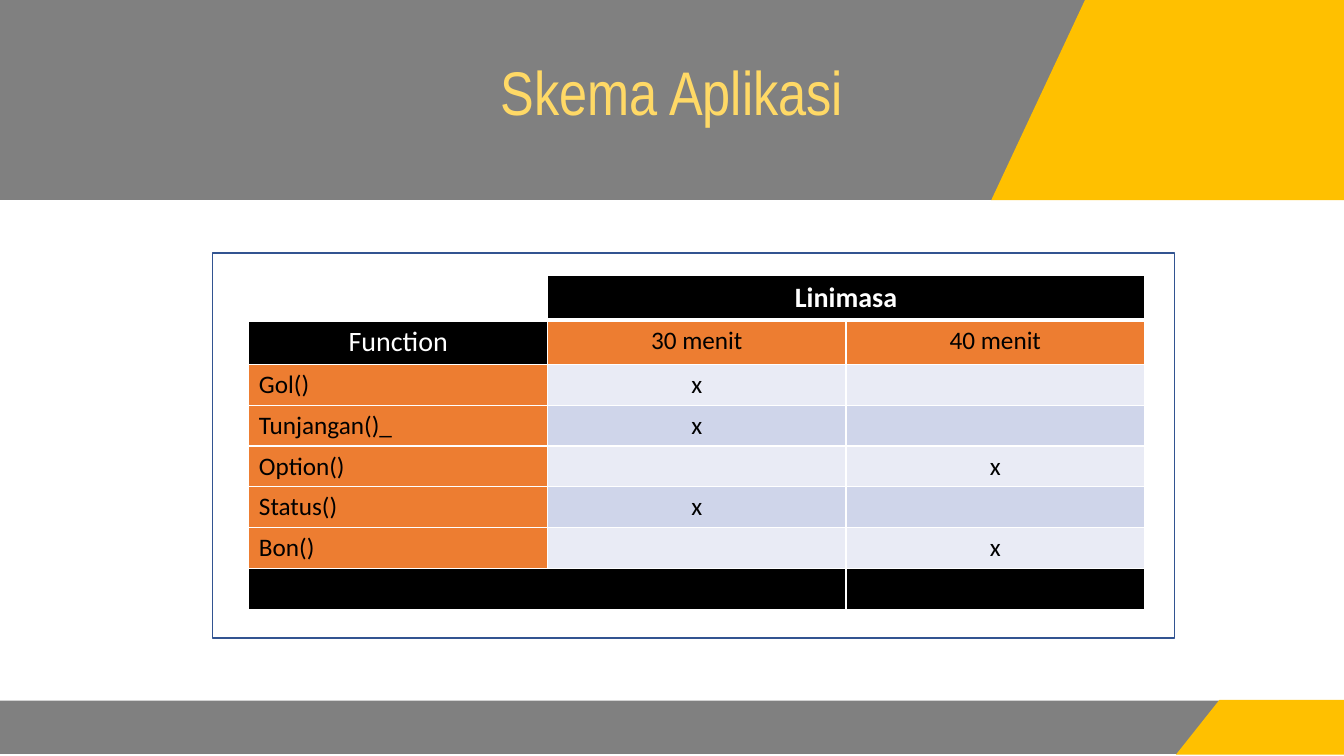
from dataclasses import dataclass

from lxml.etree import SubElement
from pptx import Presentation
from pptx.dml.color import RGBColor as RGB
from pptx.enum.shapes import MSO_SHAPE as SHAPE
from pptx.enum.text import MSO_ANCHOR as ANCHOR, PP_ALIGN as ALIGN
from pptx.oxml.ns import qn
from pptx.util import Pt


@dataclass(frozen=True)
class Theme:
    gray: str = "808080"
    gold: str = "FFC000"
    title: str = "FFD966"
    frame: str = "325491"
    white: str = "FFFFFF"
    black: str = "000000"
    orange: str = "ED7D31"
    bands: tuple[str, str] = ("E9EBF5", "CFD5EA")
    title_font: str = "Arial Narrow"
    table_font: str = "Calibri"
    title_size: int = 44
    head_size: int = 20
    body_size: int = 18


@dataclass(frozen=True)
class Box:
    left: float
    top: float
    width: float
    height: float
    fill: str
    line: str | None = None


@dataclass(frozen=True)
class Wedge:
    points: tuple[tuple[float, float], ...]
    fill: str


@dataclass(frozen=True)
class CellLook:
    fill: str
    color: str = "000000"
    size: int = 18
    bold: bool = False
    align: ALIGN = ALIGN.CENTER
    bottom_line: float = 1


T = Theme()
BOXES = (
    Box(0, 500.4, 961.2, 38.2, T.gray),
    Box(0, -0.7, 960, 143.5, T.gray),
    Box(151.9, 180.7, 686.9, 275, T.white, T.frame),
)
WEDGES = (
    Wedge(((775.4, 0), (961.2, 0), (961.2, 142.6), (708.5, 142.6)), T.gold),
    Wedge(((871.2, 500.4), (961.2, 500.4), (961.2, 539), (839.5, 539)), T.gold),
)
ROWS = (
    ("", "Linimasa", ""),
    ("Function", "30 menit", "40 menit"),
    ("Gol()", "x", ""),
    ("Tunjangan()_", "x", ""),
    ("Option()", "", "x"),
    ("Status()", "x", ""),
    ("Bon()", "", "x"),
    ("", "", ""),
)
ROW_HEIGHTS = (32, 31.6) + (29.2,) * 6
COL_WIDTH = 213.3
LAST = len(ROWS) - 1


def style_shape(sp, fill: str, line: str | None = None) -> None:
    sp.shadow.inherit = False
    sp.fill.solid()
    sp.fill.fore_color.rgb = RGB.from_string(fill)
    if line:
        sp.line.color.rgb = RGB.from_string(line)
        sp.line.width = Pt(1)
    else:
        sp.line.fill.background()


def draw_box(shapes, box: Box) -> None:
    sp = shapes.add_shape(SHAPE.RECTANGLE, Pt(box.left), Pt(box.top),
                          Pt(box.width), Pt(box.height))
    style_shape(sp, box.fill, box.line)


def draw_wedge(shapes, wedge: Wedge) -> None:
    start, *rest = wedge.points
    builder = shapes.build_freeform(*start, scale=Pt(1))
    builder.add_line_segments(rest, close=True)
    style_shape(builder.convert_to_shape(), wedge.fill)


def style_text(p, font: str, size: int, color: str, align: ALIGN, bold: bool = False) -> None:
    p.alignment = align
    p.font.name = font
    p.font.size = Pt(size)
    p.font.bold = bold
    p.font.color.rgb = RGB.from_string(color)


def draw_title(shapes, text: str) -> None:
    tf = shapes.add_textbox(Pt(66.2), Pt(28.8), Pt(828), Pt(104.4)).text_frame
    tf.word_wrap = True
    tf.vertical_anchor = ANCHOR.MIDDLE
    tf.margin_bottom = Pt(29)
    p = tf.paragraphs[0]
    p.text = text
    p.line_spacing = 0.9
    style_text(p, T.title_font, T.title_size, T.title, ALIGN.CENTER)


def cell_look(row: int, col: int) -> CellLook:
    """Choose the look from the cell's place in the grid."""
    if row == 0:
        return CellLook(T.black if col else T.white, T.white, T.head_size,
                        bold=True, bottom_line=3)
    if row == LAST:
        return CellLook(T.black)
    if row == 1:
        return CellLook(T.orange) if col else CellLook(T.black, T.white, T.head_size)
    if col == 0:
        return CellLook(T.orange, align=ALIGN.LEFT)
    return CellLook(T.bands[row % 2])


def set_borders(cell, bottom: float) -> None:
    tc_pr = cell._tc.get_or_add_tcPr()
    for side, width in (("L", 1), ("R", 1), ("T", 1), ("B", bottom)):
        ln = SubElement(tc_pr, qn(f"a:ln{side}"), w=str(Pt(width)))
        fill = SubElement(ln, qn("a:solidFill"))
        SubElement(fill, qn("a:srgbClr"), val=T.white)


def draw_table(shapes) -> None:
    cols = len(ROWS[0])
    table = shapes.add_table(len(ROWS), cols, Pt(177.8), Pt(196.6),
                             Pt(COL_WIDTH * cols), Pt(sum(ROW_HEIGHTS))).table
    table.first_row = table.horz_banding = False
    for column in table.columns:
        column.width = Pt(COL_WIDTH)
    for r, (texts, height) in enumerate(zip(ROWS, ROW_HEIGHTS)):
        table.rows[r].height = Pt(height)
        for c, text in enumerate(texts):
            cell, look = table.cell(r, c), cell_look(r, c)
            set_borders(cell, look.bottom_line)
            cell.fill.solid()
            cell.fill.fore_color.rgb = RGB.from_string(look.fill)
            p = cell.text_frame.paragraphs[0]
            p.text = text
            style_text(p, T.table_font, look.size, look.color, look.align, look.bold)
    table.cell(0, 1).merge(table.cell(0, 2))
    table.cell(LAST, 0).merge(table.cell(LAST, 1))


def main() -> None:
    prs = Presentation()
    prs.slide_width, prs.slide_height = Pt(960), Pt(540)
    shapes = prs.slides.add_slide(prs.slide_layouts[6]).shapes
    for box in BOXES:
        draw_box(shapes, box)
    for wedge in WEDGES:
        draw_wedge(shapes, wedge)
    draw_title(shapes, "Skema Aplikasi")
    draw_table(shapes)
    prs.save("out.pptx")


if __name__ == "__main__":
    main()
